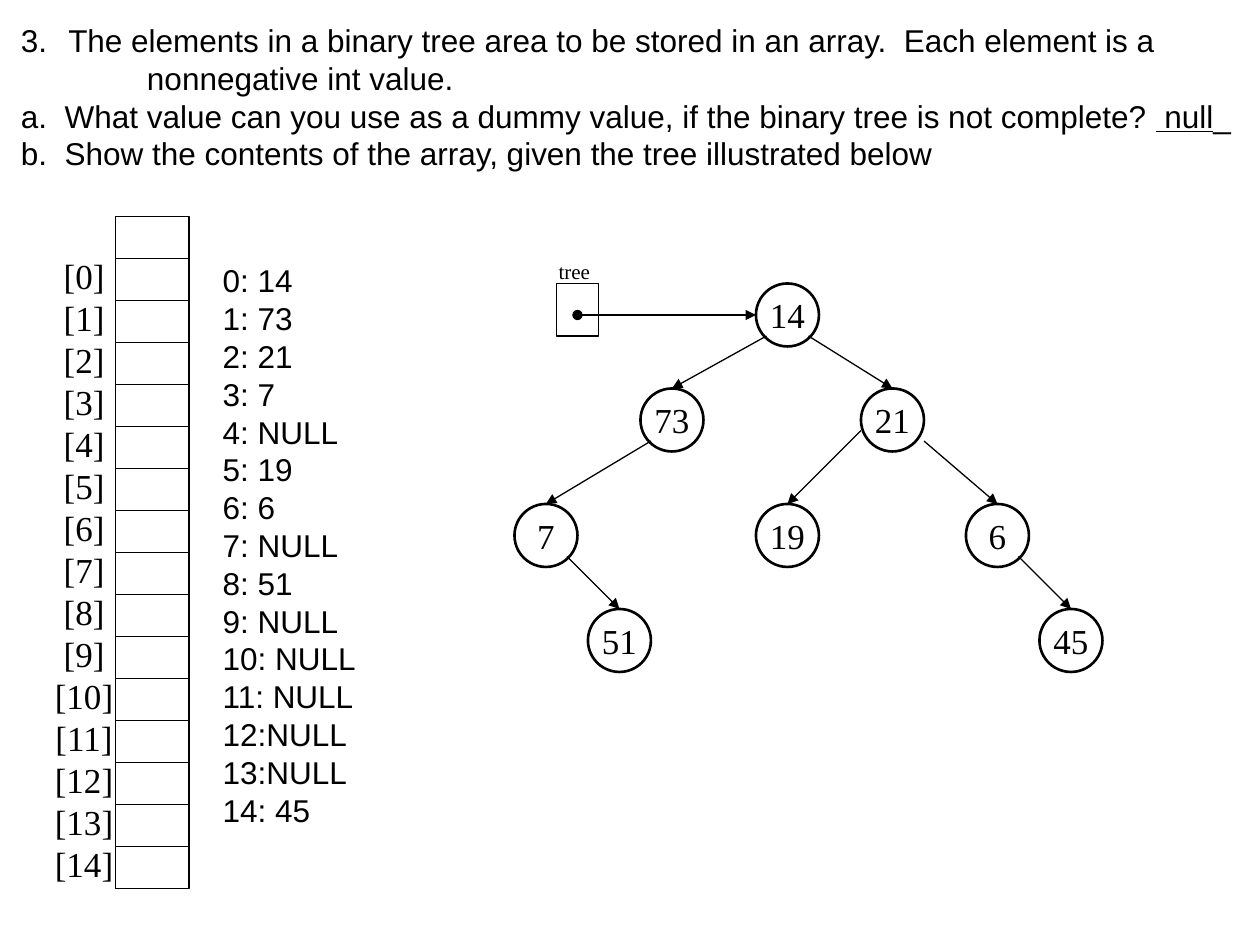
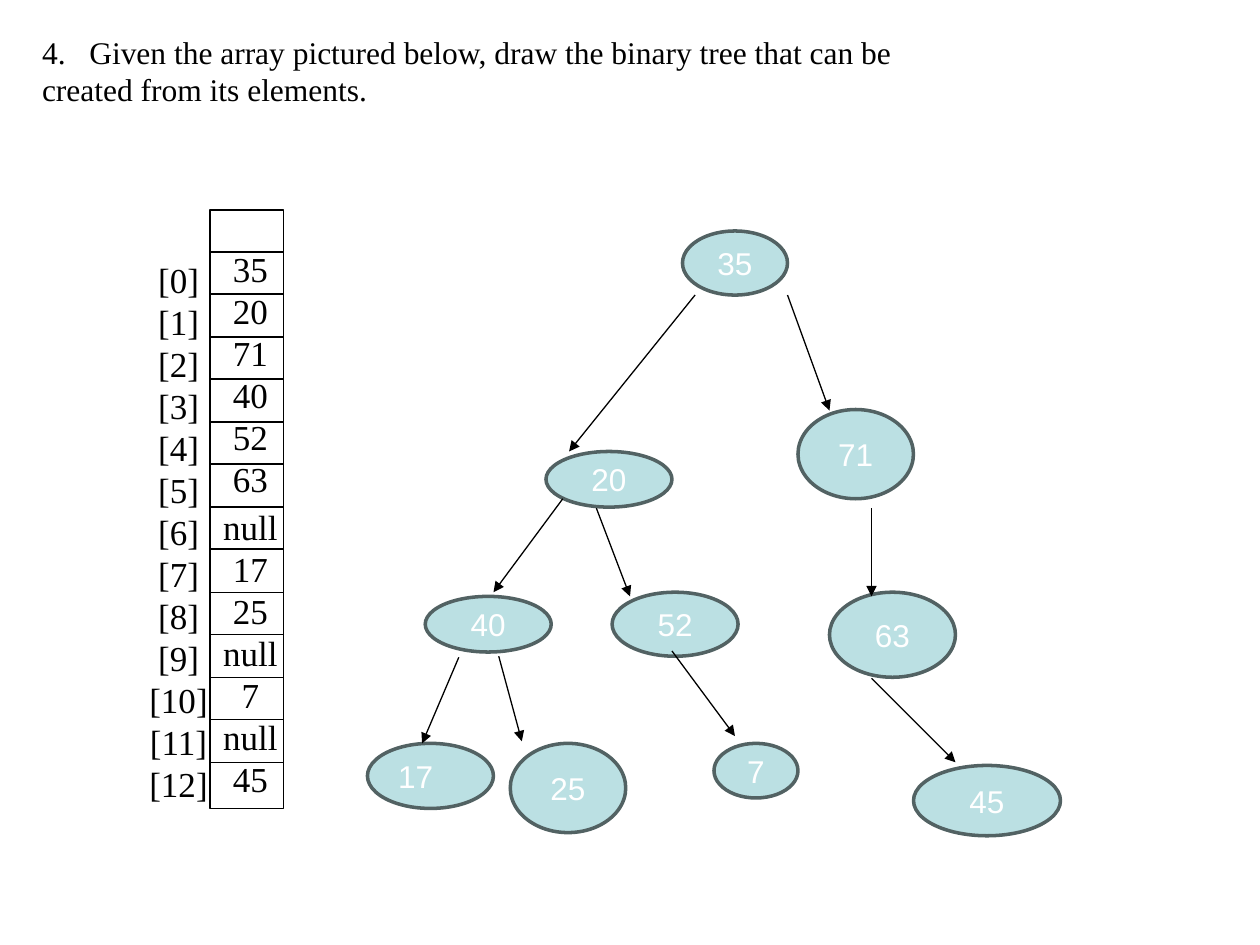
"""Build two slides on binary trees held in arrays."""
import dataclasses
import typing

import lxml.etree
import pptx
import pptx.dml.color
import pptx.enum.shapes
import pptx.enum.text
import pptx.oxml.ns
import pptx.util

PX = 7620
WIDE, HIGH = 1200, 900
INK = {"black": "000000", "white": "FFFFFF", "pale": "BBE0E3", "slate": "526263"}
SANS, SERIF = "Arial", "Times New Roman"
ALIGN = pptx.enum.text.PP_ALIGN
SHAPE = pptx.enum.shapes.MSO_SHAPE
qn = pptx.oxml.ns.qn


class Box(typing.NamedTuple):
    x: int
    y: int
    w: int
    h: int


class Run(typing.NamedTuple):
    text: str
    under: bool = False


@dataclasses.dataclass(frozen=True)
class Para:
    runs: tuple[Run, ...]
    left: int = 0
    start: int = 0
    before: int = 0


class Node(typing.NamedTuple):
    text: str
    box: Box
    right: int = 0


class Edge(typing.NamedTuple):
    x1: int
    y1: int
    x2: int
    y2: int


@dataclasses.dataclass(frozen=True)
class Look:
    font: str
    size: int
    ink: str
    line: str
    width: float
    fill: str | None = None


@dataclasses.dataclass(frozen=True)
class Stack:
    box: Box
    first: int
    last: int
    rules: int
    names: Box
    count: int


PLAIN = Look(SERIF, 20, "black", "black", 1.5)
TINT = Look(SANS, 18, "white", "slate", 2, "pale")


def emu(*spans: int) -> list[int]:
    return [span * PX for span in spans]


def tone(name: str) -> pptx.dml.color.RGBColor:
    return pptx.dml.color.RGBColor.from_string(INK[name])


def line(text: str, **form) -> Para:
    return Para((Run(text),), **form)


def write(shape, paras: list[Para], *, font: str = SERIF, size: int = 18,
          ink: str = "black", align=ALIGN.LEFT, middle: bool = False,
          wrap: bool = True, right: int = 0) -> None:
    frame = shape.text_frame
    frame.auto_size = pptx.enum.text.MSO_AUTO_SIZE.NONE
    frame.word_wrap = wrap
    anchor = pptx.enum.text.MSO_ANCHOR
    frame.vertical_anchor = anchor.MIDDLE if middle else anchor.TOP
    frame.margin_left = frame.margin_top = frame.margin_bottom = 0
    frame.margin_right = right * PX
    for i, para in enumerate(paras):
        row = frame.add_paragraph() if i else frame.paragraphs[0]
        row.alignment = align
        row.line_spacing = pptx.util.Pt(size * 1.2)
        row.space_before = pptx.util.Pt(para.before)
        props = row._p.get_or_add_pPr()
        props.set("marL", str(para.left * PX))
        props.set("indent", str(-para.left * PX if para.start else 0))
        if para.start:
            lxml.etree.SubElement(props, qn("a:buAutoNum"), type="arabicPeriod",
                                  startAt=str(para.start))
        for part in para.runs:
            run = row.add_run()
            run.text = part.text
            run.font.name = font
            run.font.size = pptx.util.Pt(size)
            run.font.color.rgb = tone(ink)
            run.font.underline = part.under


def label(slide, box: Box, paras: list[Para], **form) -> None:
    write(slide.shapes.add_textbox(*emu(*box)), paras, **form)


def start(deck, box: Box, paras: list[Para], font: str):
    slide = deck.slides.add_slide(deck.slide_layouts[5])
    title = slide.shapes.title
    title.left, title.top, title.width, title.height = emu(*box)
    write(title, paras, font=font)
    return slide


def form(slide, kind, box: Box, look: Look):
    shape = slide.shapes.add_shape(kind, *emu(*box))
    shape.shadow.inherit = False
    if look.fill:
        shape.fill.solid()
        shape.fill.fore_color.rgb = tone(look.fill)
    else:
        shape.fill.background()
    shape.line.color.rgb = tone(look.line)
    shape.line.width = pptx.util.Pt(look.width)
    return shape


def frame(slide, box: Box) -> None:
    form(slide, SHAPE.RECTANGLE, box, dataclasses.replace(PLAIN, width=0.75))


def link(slide, edge: Edge, head: str = "", tail: str = "") -> None:
    kind = pptx.enum.shapes.MSO_CONNECTOR.STRAIGHT
    wire = slide.shapes.add_connector(kind, *emu(*edge))
    wire.line.color.rgb = tone("black")
    wire.line.width = pptx.util.Pt(0.75)
    props = wire.element.spPr
    for tag, end in (("a:headEnd", head), ("a:tailEnd", tail)):
        if end:
            lxml.etree.SubElement(props.find(qn("a:ln")), qn(tag), type=end)
    lxml.etree.SubElement(props, qn("a:effectLst"))


def array(slide, stack: Stack) -> None:
    box = stack.box
    frame(slide, box)
    for i in range(stack.rules):
        y = stack.first + (stack.last - stack.first) * i // (stack.rules - 1)
        link(slide, Edge(box.x, y, box.x + box.w, y))
    names = [line(f"[{i}]") for i in range(stack.count)]
    label(slide, stack.names, names, size=20, align=ALIGN.CENTER)


def tree(slide, nodes: list[Node], edges: list[Edge], look: Look) -> None:
    for node in nodes:
        shape = form(slide, SHAPE.OVAL, node.box, look)
        write(shape, [line(node.text)], font=look.font, size=look.size, ink=look.ink,
              align=ALIGN.CENTER, middle=True, wrap=False, right=node.right)
    for edge in edges:
        link(slide, edge, tail="triangle")


def store(deck) -> None:
    ask = [
        line("The elements in a binary tree area to be stored in an array.  "
             "Each element is a", left=45, start=3),
        line("nonnegative int value.", left=120),
        Para((Run("a.  What value can you use as a dummy value, "
                  "if the binary tree is not complete? "),
              Run(" null", True), Run("_"))),
        line("b.  Show the contents of the array, given the tree illustrated below"),
    ]
    slide = start(deck, Box(20, 20, 1178, 146), ask, SANS)
    spots = [("14", 720, 270), ("73", 610, 370), ("21", 820, 370), ("7", 490, 480),
             ("51", 560, 580), ("19", 720, 480), ("6", 920, 480), ("45", 990, 580)]
    nodes = [Node(text, Box(x, y, 60, 60)) for text, x, y in spots]
    edges = [
        Edge(730, 320, 640, 370), Edge(770, 320, 850, 370), Edge(620, 420, 520, 480),
        Edge(820, 410, 750, 480), Edge(540, 530, 590, 580), Edge(880, 420, 950, 480),
        Edge(970, 530, 1020, 580),
    ]
    tree(slide, nodes, edges, PLAIN)
    frame(slide, Box(530, 270, 40, 50))
    link(slide, Edge(550, 300, 720, 300), head="oval", tail="triangle")
    label(slide, Box(532, 246, 40, 24), [line("tree")], size=12)
    array(slide, Stack(Box(110, 206, 70, 640), 246, 846, 16, Box(40, 242, 80, 600), 15))
    cells = ["0: 14", "1: 73", "2: 21", "3: 7", "4: NULL", "5: 19", "6: 6", "7: NULL",
             "8: 51", "9: NULL", "10: NULL", "11: NULL", "12:NULL", "13:NULL", "14: 45"]
    label(slide, Box(212, 249, 260, 540), [line(cell) for cell in cells], font=SANS)


def draw(deck) -> None:
    ask = [
        line("Given the array pictured below, draw the binary tree that can be",
             left=45, start=4),
        line("created from its elements."),
    ]
    slide = start(deck, Box(40, 31, 840, 73), ask, SERIF)
    array(slide, Stack(Box(200, 200, 70, 570), 240, 726, 13, Box(130, 246, 80, 520), 13))
    cells = ["35", "20", "71", "40", "52", "63", "null", "17", "25", "null", "7",
             "null", "45"]
    rows = [line(cell, before=3 if i == 6 else 0) for i, cell in enumerate(cells)]
    label(slide, Box(200, 236, 77, 530), rows, size=20, align=ALIGN.CENTER)
    nodes = [
        Node("35", Box(650, 220, 100, 61)),
        Node("20", Box(520, 430, 120, 53)),
        Node("71", Box(760, 390, 110, 85)),
        Node("40", Box(405, 568, 120, 53)),
        Node("52", Box(583, 564, 120, 61)),
        Node("63", Box(790, 564, 120, 81)),
        Node("17", Box(350, 708, 120, 62), right=28),
        Node("25", Box(486, 708, 110, 85)),
        Node("7", Box(680, 708, 80, 52)),
        Node("45", Box(870, 729, 140, 67)),
    ]
    edges = [
        Edge(662, 281, 542, 430), Edge(750, 281, 790, 391), Edge(536, 475, 470, 564),
        Edge(568, 484, 600, 568), Edge(437, 626, 402, 708), Edge(475, 625, 497, 706),
        Edge(640, 620, 700, 701), Edge(830, 484, 830, 568), Edge(830, 646, 910, 726),
    ]
    tree(slide, nodes, edges, TINT)


def main() -> None:
    deck = pptx.Presentation()
    deck.slide_width, deck.slide_height = emu(WIDE, HIGH)
    store(deck)
    draw(deck)
    deck.save("out.pptx")


if __name__ == "__main__":
    main()
